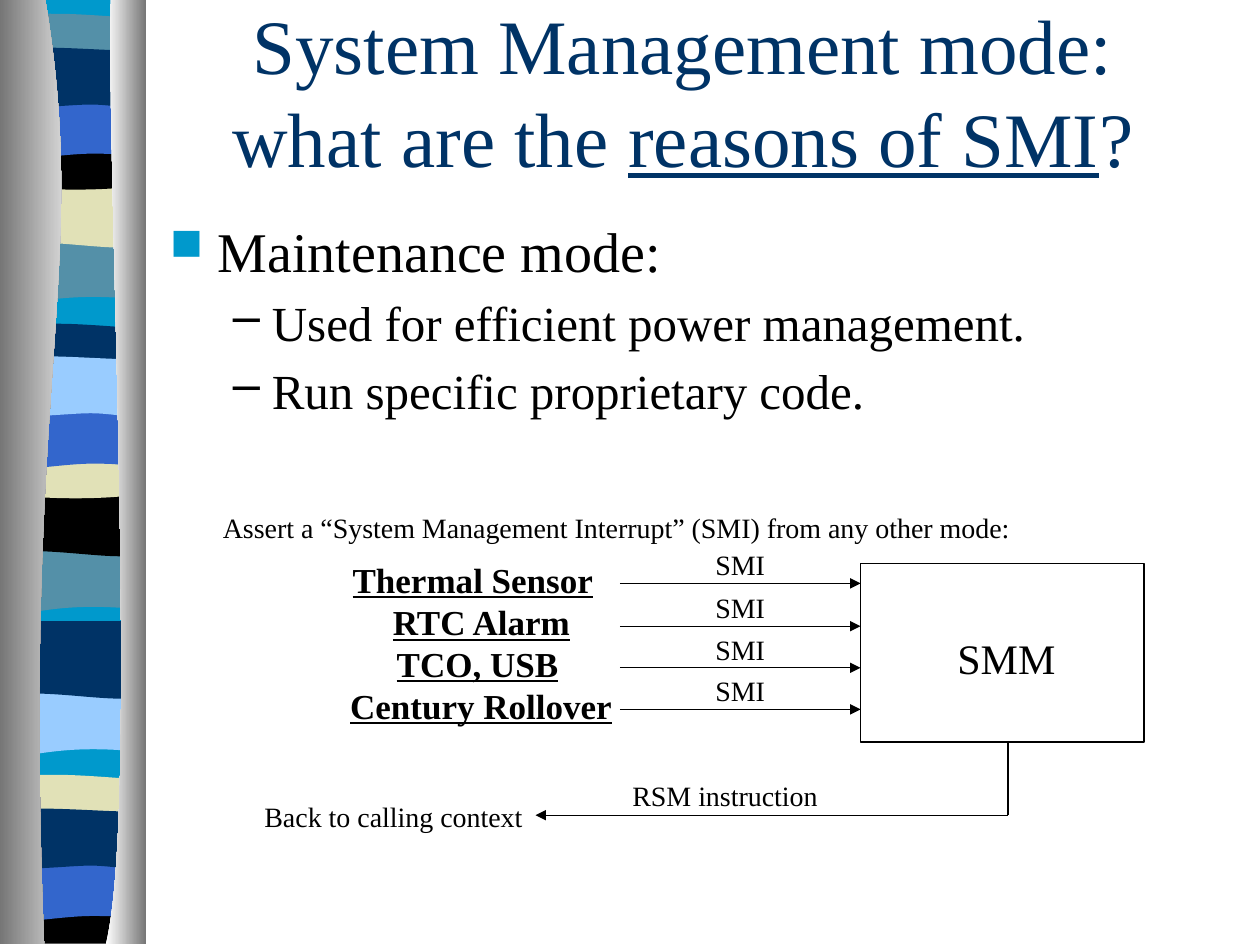
"""Build the slide on the reasons for a System Management Interrupt."""
from dataclasses import dataclass
from itertools import chain
from math import ceil
from typing import Any

from lxml import etree
from pptx import Presentation
from pptx import util as u
from pptx.dml.color import RGBColor
from pptx.enum import shapes, text
from pptx.oxml import ns

SCALE = 9144

BLACK = RGBColor(0x00, 0x00, 0x00)
WHITE = RGBColor(0xFF, 0xFF, 0xFF)
GREY = RGBColor(0x76, 0x76, 0x76)
NAVY = RGBColor(0x00, 0x33, 0x66)
CYAN = RGBColor(0x00, 0x99, 0xCC)
TEAL = RGBColor(0x54, 0x90, 0xA8)
SAND = RGBColor(0xE1, 0xE1, 0xB7)
BLUE = RGBColor(0x33, 0x66, 0xCC)
SKY = RGBColor(0x99, 0xCC, 0xFF)

DIP = [(114, 0), (114, 59), (39, 51, 24, 67, 5, 59), (5, 0)]
SWELL = [(114, 0), (114, 59), (96, 67, 39, 53, 5, 59), (5, 0)]
LENS = [(114, 5), (114, 41), (96, 46, 24, 46, 5, 41), (5, 5),
        (12, 0, 29, 1, 47, 1), (65, 1, 100, 4, 114, 5)]
BOWL = [(114, 0), (114, 44), (96, 50, 24, 50, 5, 44), (5, 0), (72, 5, 91, 0, 114, 0)]
BASE = [(114, 0), (114, 43), (5, 43), (5, 0), (72, 5, 91, 0, 114, 0)]
ARCH = [(114, 0), (114, 59), (97, 54, 90, 54, 72, 54), (54, 54, 22, 59, 5, 59), (5, 0)]
RIBBON = [(114, 5), (114, 48), (107, 53, 90, 48, 72, 48), (54, 48, 17, 53, 5, 48),
          (5, 5), (21, 0, 79, 5, 97, 5), (115, 5, 110, 5, 114, 5)]
BACKDROP = [(114, 0), (114, 747), (5, 747), (5, 0)]
BANDS = [
    (BACKDROP, 0, CYAN),
    (DIP, 179, TEAL), (SWELL, 135, SAND), (LENS, 10, TEAL),
    (BOWL, 102, BLACK), (ARCH, 68, BLUE), (RIBBON, 35, NAVY),
    (DIP, 425, TEAL), (SWELL, 380, BLACK), (LENS, 256, NAVY),
    (BOWL, 347, SAND), (ARCH, 314, BLUE), (RIBBON, 280, SKY),
    (DIP, 538, SKY), (SWELL, 493, NAVY), (LENS, 614, SAND),
    (BASE, 706, BLACK), (ARCH, 673, BLUE), (RIBBON, 639, NAVY),
]
LEFT_PILLAR = [(36, 0), (72, 216, 17, 296, 35, 749), (0, 749), (0, 0)]
RIGHT_PILLAR = [(88, 0), (84, 125, 111, 646, 84, 749), (116, 749), (116, 0)]

SOURCES = [("Thermal Sensor", 270, 242), ("RTC Alarm", 302, 185),
           ("TCO, USB", 305, 164), ("Century Rollover", 268, 262)]


def px(value):
    """Turn px into EMU."""
    return u.Emu(round(value * SCALE))


@dataclass
class Painter:
    """Hold the style and the current slide."""

    slide: Any
    font: str = "Times New Roman"
    ink: RGBColor = BLACK
    line_width: float = 0.75

    def outline(self, outline, top, *colors):
        """Draw a closed outline of lines and cubic curves in one colour or a gradient."""
        numbers = list(chain.from_iterable(outline))
        points = [(px(x), px(y + top)) for x, y in zip(numbers[::2], numbers[1::2])]
        builder = self.slide.shapes.build_freeform(*points[0], scale=1.0)
        builder.add_line_segments(points[1:], close=True)
        shape = builder.convert_to_shape()
        segments = iter(list(shape._element.iter(ns.qn("a:lnTo"))))
        for step in outline[1:]:
            segment = next(segments)
            if len(step) == 6:
                curve = etree.Element(ns.qn("a:cubicBezTo"))
                segment.addprevious(curve)
                for part in (segment, next(segments), next(segments)):
                    curve.append(part[0])
                    part.getparent().remove(part)
        shape.shadow.inherit = False
        shape.line.fill.background()
        if len(colors) == 1:
            shape.fill.solid()
            shape.fill.fore_color.rgb = colors[0]
        else:
            shape.fill.gradient()
            shape.fill.gradient_angle = 0
            for stop, color in zip(shape.fill.gradient_stops, colors):
                stop.color.rgb = color

    def run(self, paragraph, words, size, color=None, bold=False, underline=False):
        """Add one run of text."""
        run = paragraph.add_run()
        run.text = words
        font = run.font
        font.name, font.size = self.font, u.Pt(size)
        font.bold, font.underline = bold, underline
        font.color.rgb = color or self.ink

    def frame(self, left, top, width, height, wrap=True):
        """Add an empty text box and return its text frame."""
        frame = self.slide.shapes.add_textbox(
            px(left), px(top), px(width), px(height)).text_frame
        frame.word_wrap = wrap
        return frame

    def label(self, words, left, top, width, height=37, size=16, **style):
        """Add a one-line label."""
        frame = self.frame(left, top, width, height, wrap=False)
        self.run(frame.paragraphs[0], words, size, **style)

    def bullet(self, paragraph, words, size, mark, margin, hang, color=None, percent=100):
        """Fill a paragraph as a list item with a hanging mark."""
        properties = paragraph._p.get_or_add_pPr()
        properties.set("marL", str(px(margin)))
        properties.set("indent", str(-px(hang)))
        bullet_color = etree.SubElement(properties, ns.qn("a:buClr"))
        etree.SubElement(bullet_color, ns.qn("a:srgbClr"), val=str(color or self.ink))
        etree.SubElement(properties, ns.qn("a:buSzPct"), val=str(percent * 1000))
        etree.SubElement(properties, ns.qn("a:buChar"), char=mark)
        self.run(paragraph, words, size)

    def box(self, left, top, width, height):
        """Draw an unfilled rectangle."""
        shape = self.slide.shapes.add_shape(
            shapes.MSO_SHAPE.RECTANGLE, px(left), px(top), px(width), px(height))
        shape.shadow.inherit = False
        shape.fill.background()
        shape.line.color.rgb = self.ink
        shape.line.width = u.Pt(self.line_width)

    def line(self, start, end, arrow=True):
        """Draw a straight connector, with an arrowhead at its end if asked."""
        connector = self.slide.shapes.add_connector(
            shapes.MSO_CONNECTOR.STRAIGHT, *map(px, start + end))
        connector.line.color.rgb = self.ink
        connector.line.width = u.Pt(self.line_width)
        if arrow:
            etree.SubElement(connector.line._get_or_add_ln(), ns.qn("a:tailEnd"), type="triangle")
        etree.SubElement(connector._element.spPr, ns.qn("a:effectLst"))


def main():
    """Build and save the presentation."""
    presentation = Presentation()
    presentation.slide_width, presentation.slide_height = px(1000), px(750)
    painter = Painter(presentation.slides.add_slide(presentation.slide_layouts[6]))

    for outline, top, color in BANDS:
        painter.outline(outline, top, color)
    painter.outline(LEFT_PILLAR, 0, GREY, WHITE)
    painter.outline(RIGHT_PILLAR, 0, WHITE, GREY)

    title = painter.frame(117, 0, 850, 143)
    title.vertical_anchor = text.MSO_ANCHOR.MIDDLE
    heading = title.paragraphs[0]
    heading.alignment = text.PP_ALIGN.CENTER
    painter.run(heading, "System Management mode:", 44, NAVY)
    heading.add_line_break()
    painter.run(heading, "what are the ", 44, NAVY)
    painter.run(heading, "reasons of SMI", 44, NAVY, underline=True)
    painter.run(heading, "?", 44, NAVY)

    body = painter.frame(125, 167, 850, 450)
    painter.bullet(body.paragraphs[0], "Maintenance mode:", 32, "■", 38, 38, CYAN, 80)
    for words in ("Used for efficient power management.", "Run specific proprietary code."):
        paragraph = body.add_paragraph()
        paragraph.level = 1
        painter.bullet(paragraph, words, 28, "–", 81, 31)
        paragraph.space_before = u.Pt(5)

    painter.label("Assert a “System Management Interrupt” (SMI) from any other mode:", 167, 400, 648)
    painter.box(683, 447, 225, 142)
    painter.label("SMM", 750, 497, 98, 50, size=24)
    for row, (source, left, width) in enumerate(SOURCES):
        drop = ceil(row * 100 / 3)
        painter.label(source, left, 438 + drop, width, 44, size=20, bold=True, underline=True)
        painter.line((492, 463 + drop), (683, 463 + drop))
        painter.label("SMI", 558, 430 + drop, 60)

    painter.line((800, 588), (800, 647), arrow=False)
    painter.line((800, 647), (425, 647))
    painter.label("RSM instruction", 492, 613, 168)
    painter.label("Back to calling context", 200, 630, 232)

    presentation.save("out.pptx")


if __name__ == "__main__":
    main()
